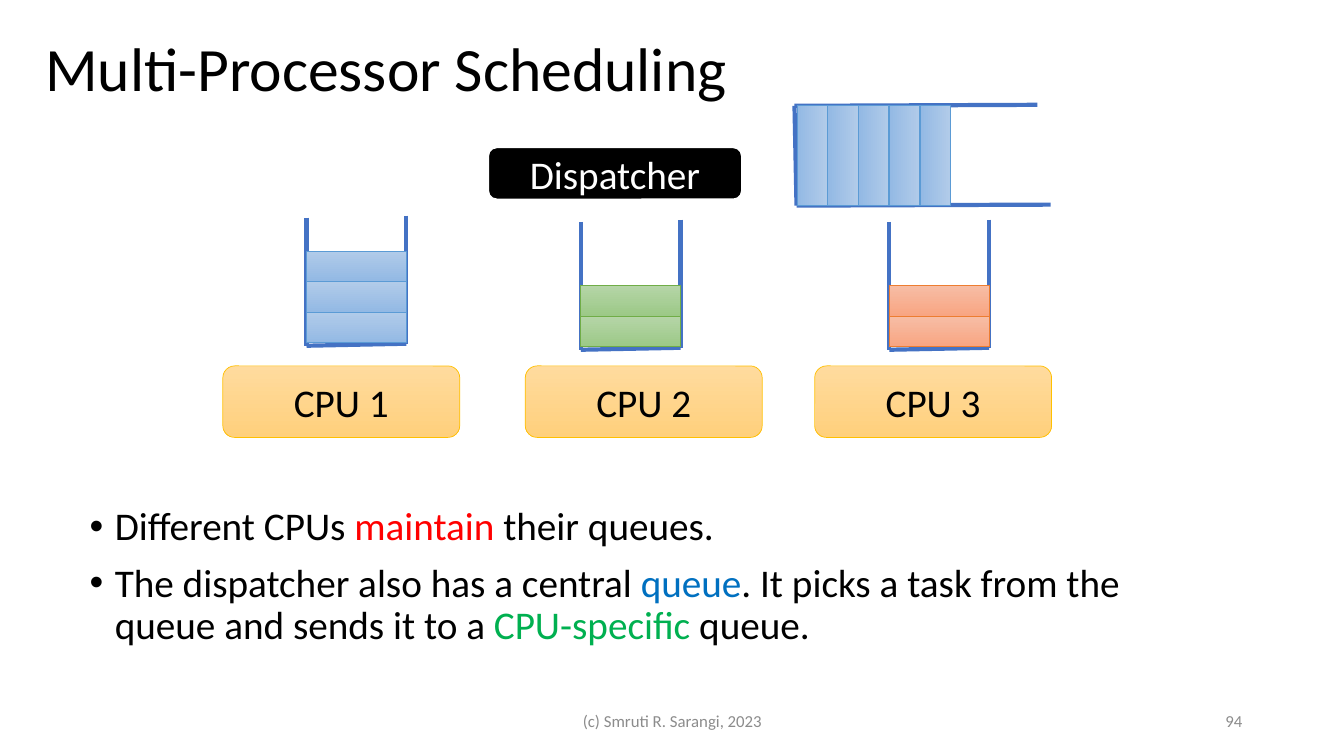
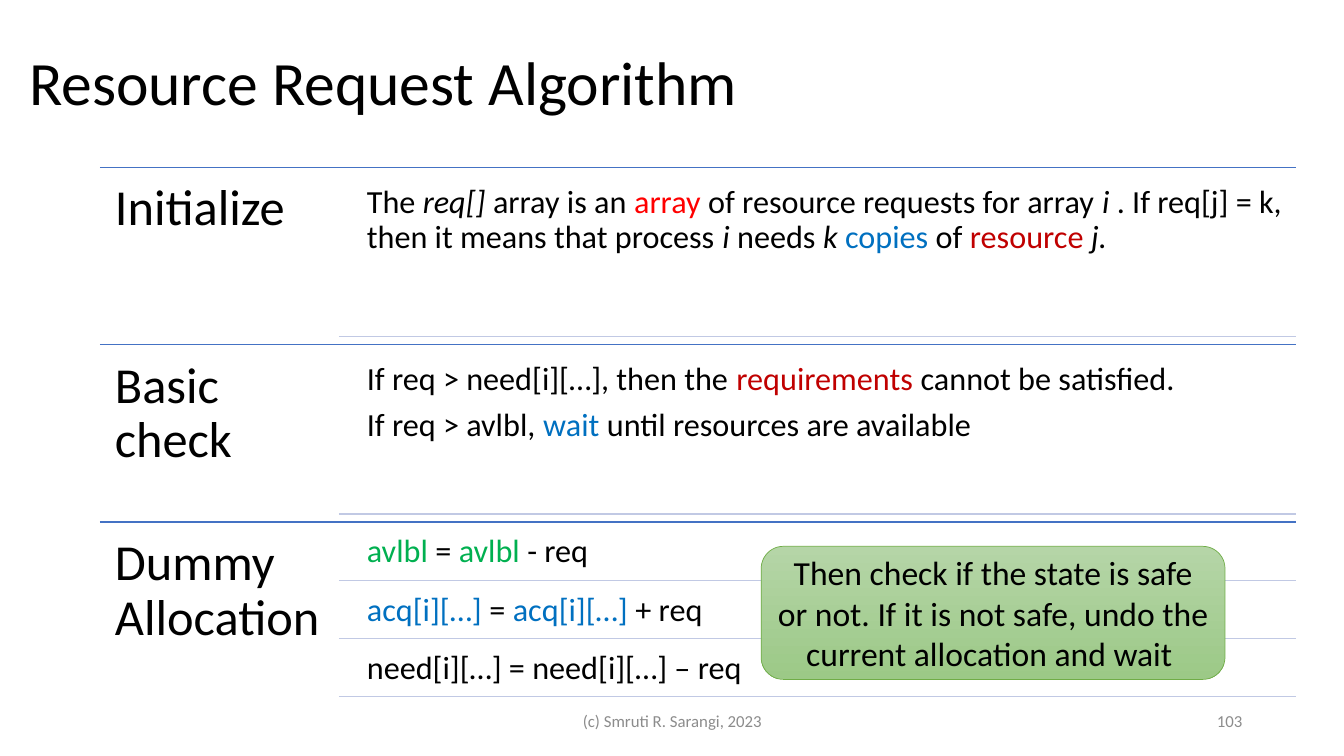
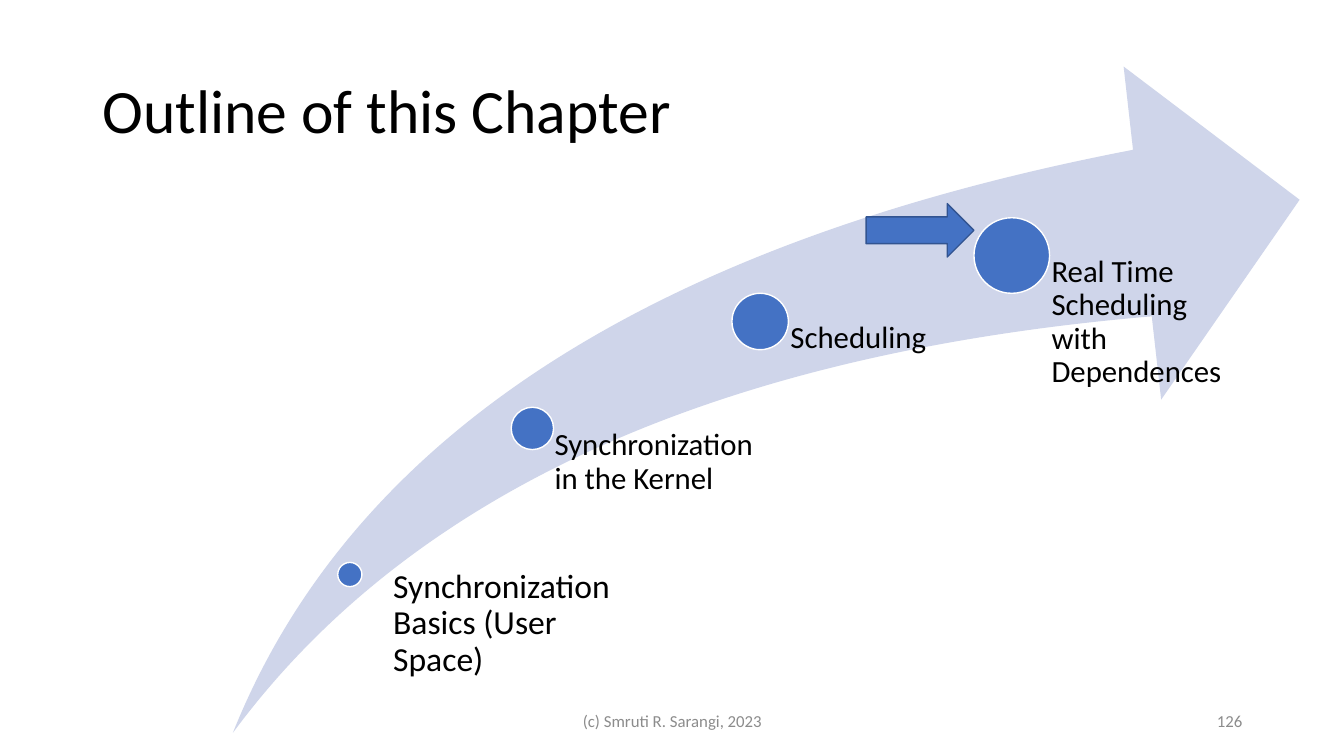
from lxml import etree
from pptx import Presentation
from pptx.dml.color import RGBColor
from pptx.enum import shapes, text
from pptx.oxml import ns
from pptx import util as u

W, H = 13.33, 7.5
FONT = "Calibri"
BLACK = RGBColor(0, 0, 0)
WHITE = RGBColor(0xFF, 0xFF, 0xFF)
GREY = RGBColor(0x8C, 0x8C, 0x8C)
RED = RGBColor(0xFF, 0, 0)
DARK_RED = RGBColor(0xC0, 0, 0)
BLUE = RGBColor(0, 0x70, 0xC0)
GREEN = RGBColor(0, 0xB0, 0x50)
ACCENT = RGBColor(0x44, 0x72, 0xC4)
ACCENT_DARK = RGBColor(0x32, 0x54, 0x91)
RULE = RGBColor(0xC1, 0xC9, 0xE4)
SWOOSH = RGBColor(0xCF, 0xD5, 0xEA)
SKY_TOP, SKY_END, SKY_LINE = RGBColor(0xB1, 0xCB, 0xE9), RGBColor(0x93, 0xB9, 0xE4), RGBColor(0x5B, 0x9B, 0xD5)
LEAF_TOP, LEAF_END, LEAF_LINE = RGBColor(0xB5, 0xD5, 0xA7), RGBColor(0x9C, 0xC9, 0x87), RGBColor(0x70, 0xAD, 0x47)
CORAL_TOP, CORAL_END, CORAL_LINE = RGBColor(0xF7, 0xBD, 0xA5), RGBColor(0xF8, 0xA5, 0x82), RGBColor(0xED, 0x7D, 0x31)
GOLD_TOP, GOLD_END, GOLD_LINE = RGBColor(0xFF, 0xDB, 0x9E), RGBColor(0xFF, 0xD0, 0x7C), RGBColor(0xFF, 0xC0, 0)
SKY = (SKY_TOP, SKY_END, SKY_LINE)
LEAF = (LEAF_TOP, LEAF_END, LEAF_LINE)
CORAL = (CORAL_TOP, CORAL_END, CORAL_LINE)
GOLD = (GOLD_TOP, GOLD_END, GOLD_LINE)

KIND = shapes.MSO_SHAPE
LEFT, CENTER, RIGHT = text.PP_ALIGN.LEFT, text.PP_ALIGN.CENTER, text.PP_ALIGN.RIGHT
TOP, MIDDLE = text.MSO_ANCHOR.TOP, text.MSO_ANCHOR.MIDDLE

SLOT_W, SLOT_H, SLOT_PITCH = 0.99, 0.3, 0.305
BAND_X, BAND_Y, BAND_H = 0.99, 1.66, 1.76
DETAIL_X, BAND_END = 3.36, 12.85


def inches(*values):
    return [u.Inches(v) for v in values]


def add_bullet(p):
    pPr = p._p.get_or_add_pPr()
    pPr.set("marL", str(u.Inches(0.25)))
    pPr.set("indent", str(-u.Inches(0.25)))
    etree.SubElement(pPr, ns.qn("a:buFont")).set("typeface", "Arial")
    etree.SubElement(pPr, ns.qn("a:buChar")).set("char", "•")


def write(tf, paragraphs, size, color=BLACK, align=LEFT, anchor=TOP, insets=(0.1, 0.05, 0.1, 0.05),
          line=1.0, before=0, after=0, bullet=False):
    tf.word_wrap = True
    tf.vertical_anchor = anchor
    tf.margin_left, tf.margin_top, tf.margin_right, tf.margin_bottom = inches(*insets)
    for i, parts in enumerate(paragraphs):
        p = tf.add_paragraph() if i else tf.paragraphs[0]
        p.alignment = align
        p.line_spacing = line
        p.space_before = u.Pt(before if i else 0)
        p.space_after = u.Pt(after)
        if bullet:
            add_bullet(p)
        for part in [parts] if isinstance(parts, str) else parts:
            words, style = (part, None) if isinstance(part, str) else part
            r = p.add_run()
            r.text = words
            r.font.name, r.font.size = FONT, u.Pt(size)
            r.font.italic = style == "i"
            r.font.color.rgb = style if isinstance(style, RGBColor) else color


def add_text(s, box, paragraphs, size, **style):
    write(s.shapes.add_textbox(*inches(*box)).text_frame, paragraphs, size, **style)


def add_shape(s, kind, box, fill, outline=None, width=1):
    sp = s.shapes.add_shape(kind, *inches(*box))
    sp.shadow.inherit = False
    sp.fill.solid()
    sp.fill.fore_color.rgb = fill
    if outline is None:
        sp.line.fill.background()
    else:
        sp.line.color.rgb = outline
        sp.line.width = u.Pt(width)
    return sp


def add_shaded(s, kind, box, palette):
    start, end, outline = palette
    sp = add_shape(s, kind, box, start, outline, 0.5)
    sp.fill.gradient()
    sp.fill.gradient_angle = 270
    for stop, color in zip(sp.fill.gradient_stops, (start, end)):
        stop.color.rgb = color
    return sp


def add_line(s, start, end, color=ACCENT, width=1):
    ln = s.shapes.add_connector(shapes.MSO_CONNECTOR.STRAIGHT, *inches(*start, *end))
    ln.line.color.rgb = color
    ln.line.width = u.Pt(width)
    etree.SubElement(ln._element.spPr, ns.qn("a:effectLst"))


def new_slide(prs, title, x, y, number):
    s = prs.slides.add_slide(prs.slide_layouts[6])
    add_text(s, (x, y, 11.5, 1.45), [title], 44, anchor=MIDDLE, line=0.9)
    footer = dict(size=12, color=GREY, anchor=MIDDLE)
    add_text(s, (4.42, 6.95, 4.5, 0.4), ["(c) Smruti R. Sarangi, 2023"], align=CENTER, **footer)
    add_text(s, (9.42, 6.95, 3, 0.4), [str(number)], align=RIGHT, **footer)
    return s


def add_cpu_queue(s, x, y, tasks, palette):
    right, bottom = x + SLOT_W, y + 1.27
    for start, end in (((x, y), (x, bottom)),
                       ((right, y - 0.02), (right, bottom - 0.02)),
                       ((right, bottom - 0.02), (x, bottom))):
        add_line(s, start, end, width=3)
    for k in range(tasks):
        add_shaded(s, KIND.RECTANGLE, (x, y + 0.94 - k * SLOT_PITCH, SLOT_W, SLOT_H), palette)


def add_central_queue(s):
    for start, end in (((10.29, 1.04), (7.88, 1.05)),
                       ((10.42, 2.03), (7.9, 2.04)),
                       ((7.9, 2.04), (7.88, 1.05))):
        add_line(s, start, end, width=3)
    for k in range(5):
        sp = add_shaded(s, KIND.RECTANGLE, (7.56 + k * SLOT_PITCH, 1.39, SLOT_W, SLOT_H), SKY)
        sp.rotation = 90


def scheduling_slide(prs):
    s = new_slide(prs, "Multi-Processor Scheduling", 0.35, -0.02, 94)
    add_text(s, (0.79, 4.98, 11.3, 1.61), [
        ["Different CPUs ", ("maintain", RED), " their queues."],
        ["The dispatcher also has a central ", ("queue", BLUE),
         ". It picks a task from the queue and sends it to a ", ("CPU-specific", GREEN), " queue."],
    ], 28, line=0.9, before=10, bullet=True)
    cpus = ((2.21, 3.04, 2.16, 3, SKY), (5.21, 5.76, 2.2, 2, LEAF), (8.08, 8.82, 2.2, 2, CORAL))
    for n, (x, queue_x, queue_y, tasks, palette) in enumerate(cpus, 1):
        sp = add_shaded(s, KIND.ROUNDED_RECTANGLE, (x, 3.63, 2.35, 0.71), GOLD)
        write(sp.text_frame, [f"CPU {n}"], 28, align=CENTER, anchor=MIDDLE)
        add_cpu_queue(s, queue_x, queue_y, tasks, palette)
    sp = add_shape(s, KIND.ROUNDED_RECTANGLE, (4.84, 1.46, 2.52, 0.52), BLACK, WHITE, 1.5)
    write(sp.text_frame, ["Dispatcher"], 28, color=WHITE, align=CENTER, anchor=MIDDLE)
    add_central_queue(s)


def add_band(s, index, label, details):
    y = BAND_Y + index * BAND_H
    n = len(details)
    height = BAND_H / (n + 0.05 * (n + 1))
    gap = 0.05 * height
    add_line(s, (BAND_X, y), (BAND_END, y))
    add_text(s, (BAND_X, y, DETAIL_X - BAND_X, BAND_H), [label], 36, line=0.9, insets=(0.15,) * 4)
    for k, paragraphs in enumerate(details):
        bottom = y + (k + 1) * (height + gap)
        add_text(s, (DETAIL_X + 0.18, bottom - height, BAND_END - DETAIL_X - 0.18, height),
                 paragraphs, 23, line=0.9, after=8, insets=(0.1,) * 4)
        add_line(s, (DETAIL_X, bottom), (BAND_END, bottom), RULE)


def request_slide(prs):
    s = new_slide(prs, "Resource Request Algorithm", 0.19, 0.12, 103)
    bands = (
        ("Initialize", [[[
            "The ", ("req[] ", "i"), "array is an ", ("array", RED),
            " of resource requests for array ", ("i ", "i"),
            ". If req[j] = k, then it means that process ", ("i ", "i"), "needs ", ("k ", "i"),
            ("copies", BLUE), " of ", ("resource ", DARK_RED), ("j.", "i")]]]),
        ("Basic check", [[
            ["If req > need[i][…], then the ", ("requirements", DARK_RED), " cannot be satisfied."],
            ["If req > avlbl, ", ("wait", BLUE), " until resources are available"]]]),
        ("Dummy Allocation", [
            [[("avlbl", GREEN), " = ", ("avlbl", GREEN), " - req"]],
            [[("acq[i][…] ", BLUE), "= ", ("acq[i][…] ", BLUE), "+ req"]],
            ["need[i][…] = need[i][…] – req"]]),
    )
    for index, (label, details) in enumerate(bands):
        add_band(s, index, label, details)
    sp = add_shaded(s, KIND.ROUNDED_RECTANGLE, (7.55, 5.42, 4.6, 1.32), LEAF)
    write(sp.text_frame, ["Then check if the state is safe or not. If it is not safe, "
                          "undo the current allocation and wait "], 24, align=CENTER, anchor=MIDDLE)


def outline_slide(prs):
    s = new_slide(prs, "Outline of this Chapter", 0.92, 0.4, 126)
    bottom = 7.27
    swoosh = add_shape(s, KIND.SWOOSH_ARROW, (2.31, 0.66, 10.58, 6.61), SWOOSH)
    swoosh.adjustments[0] = swoosh.adjustments[1] = 0.25
    steps = (
        (3.35, 5.58, 0.24, 3.77, 5.65, 2.37, 0.13, 24, "Synchronization Basics (User Space)"),
        (5.07, 4.04, 0.42, 5.28, 4.26, 2.22, 0.22, 22, "Synchronization in the Kernel"),
        (7.26, 2.91, 0.56, 7.54, 3.19, 2.22, 0.3, 22, "Scheduling"),
        (9.66, 2.16, 0.75, 10.03, 2.54, 2.22, 0.4, 22, "Real Time Scheduling with Dependences"),
    )
    for x, y, size, label_x, label_y, width, inset, points, label in steps:
        add_shape(s, KIND.OVAL, (x, y, size, size), ACCENT, WHITE)
        add_text(s, (label_x, label_y, width, bottom - label_y), [label], points,
                 line=0.9, insets=(inset, 0, 0, 0))
    add_shape(s, KIND.RIGHT_ARROW, (8.59, 2.02, 1.07, 0.53), ACCENT, ACCENT_DARK)


def main():
    prs = Presentation()
    prs.slide_width, prs.slide_height = inches(W, H)
    scheduling_slide(prs)
    request_slide(prs)
    outline_slide(prs)
    prs.save("out.pptx")


if __name__ == "__main__":
    main()
